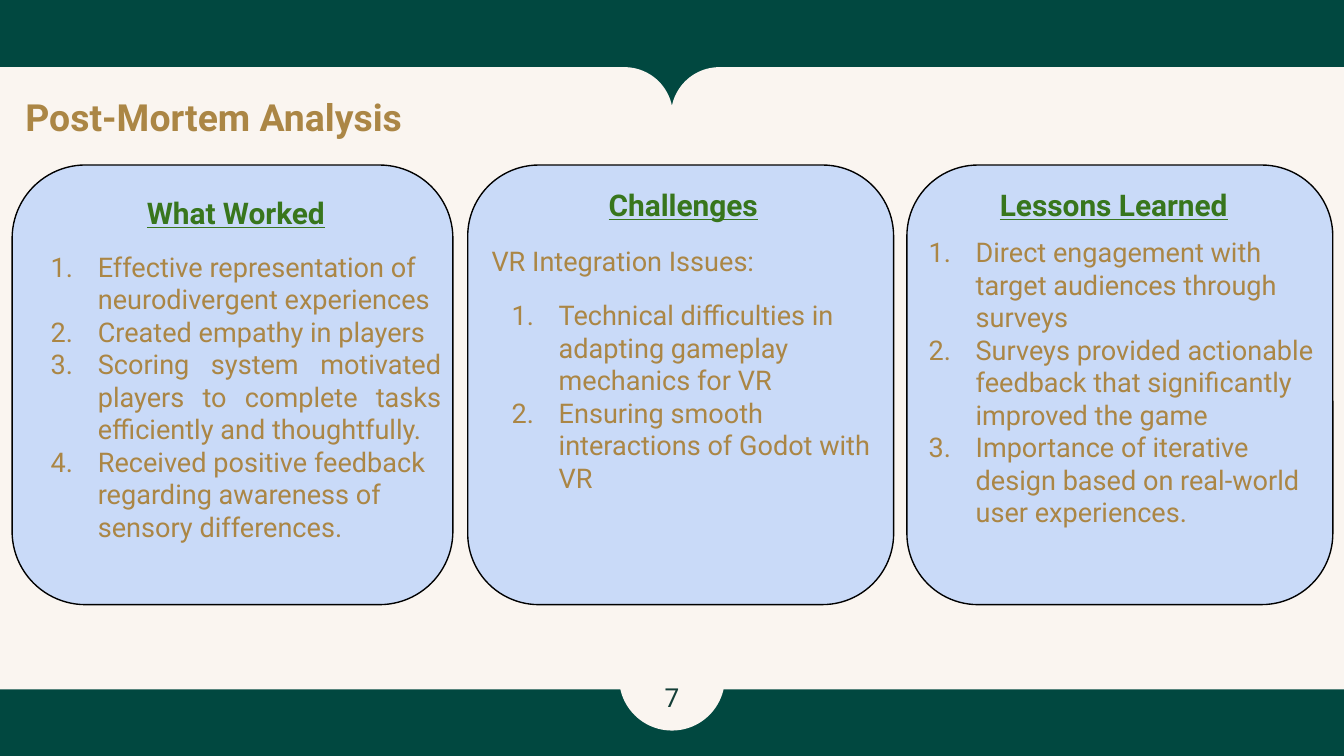
from lxml.etree import SubElement
from pptx import Presentation
from pptx.dml.color import RGBColor
from pptx.enum.shapes import MSO_SHAPE as SHAPE
from pptx.enum.text import MSO_ANCHOR as ANCHOR, PP_ALIGN as ALIGN
from pptx.oxml.ns import qn
from pptx.util import Cm, Pt

GREEN = RGBColor(0x01, 0x48, 0x40)
CREAM = RGBColor(0xFA, 0xF5, 0xF0)
BLUE = RGBColor(0xC9, 0xDA, 0xF8)
BLACK = RGBColor(0, 0, 0)
GOLD = RGBColor(0xAB, 0x86, 0x45)
HEADING = RGBColor(0x38, 0x76, 0x1D)
NUMBER = RGBColor(0x13, 0x3E, 0x37)
FONT = "Roboto"

TITLE = "Post-Mortem Analysis"
PAGE = "7"
# card: (left, width); text: (left, top, width, height); gap: points above the body
COLUMNS = [
    dict(heading="What Worked", intro=None, justified=2, gap=10.5, anchor=ANCHOR.MIDDLE,
         card=(0.23, 8.33), text=(0.33, 3.07, 8.26, 7.8),
         items=["Effective representation of neurodivergent experiences",
                "Created empathy in players",
                "Scoring system motivated players to complete tasks "
                "efficiently and thoughtfully.",
                "Received positive feedback regarding awareness of "
                "sensory differences."]),
    dict(heading="Challenges", intro="VR Integration Issues:", justified=None, gap=11.7,
         anchor=ANCHOR.TOP, card=(8.84, 8.05), text=(9.04, 3.28, 7.75, 6.4),
         items=["Technical difficulties in adapting gameplay mechanics for VR",
                "Ensuring smooth interactions of Godot with VR"]),
    dict(heading="Lessons Learned", intro=None, justified=None, gap=7, anchor=ANCHOR.TOP,
         card=(17.14, 8.05), text=(16.92, 3.28, 8.26, 7.04),
         items=["Direct engagement with target audiences through surveys",
                "Surveys provided actionable feedback that significantly "
                "improved the game",
                "Importance of iterative design based on real-world "
                "user experiences."]),
]
CARD_TOP, CARD_HEIGHT = 3.12, 8.31
PANEL_TOP, PANEL_WIDTH, PANEL_HEIGHT = 1.27, 12.72, 11.76


def add_shape(slide, kind, box, fill, line=None, adj=None):
    sp = slide.shapes.add_shape(kind, *map(Cm, box))
    sp.shadow.inherit = False
    sp.fill.solid()
    sp.fill.fore_color.rgb = fill
    if line is None:
        sp.line.fill.background()
    else:
        sp.line.color.rgb = line
        sp.line.width = Pt(0.75)
    if adj is not None:
        sp.adjustments[0] = adj
    return sp


def add_text_frame(slide, box, anchor):
    tf = slide.shapes.add_textbox(*map(Cm, box)).text_frame
    tf.word_wrap = True
    tf.vertical_anchor = anchor
    tf.margin_left = tf.margin_right = tf.margin_top = tf.margin_bottom = Cm(0.25)
    return tf


def write(p, text, size, color, align=ALIGN.LEFT, bold=False, underline=False):
    p.text = text
    p.alignment = align
    font = p.runs[0].font
    font.name, font.size, font.bold, font.underline = FONT, Pt(size), bold, underline
    font.color.rgb = color


def number(p):
    """Make the paragraph an item of a numbered list."""
    pPr = p._p.get_or_add_pPr()
    pPr.set("marL", str(Cm(1.27)))
    pPr.set("indent", str(-Cm(0.89)))
    color = SubElement(pPr, qn("a:buClr"))
    SubElement(color, qn("a:srgbClr"), val=str(GOLD))
    SubElement(pPr, qn("a:buFont"), typeface=FONT)
    SubElement(pPr, qn("a:buAutoNum"), type="arabicPeriod")


def add_column_text(slide, col):
    tf = add_text_frame(slide, col["text"], col["anchor"])
    write(tf.paragraphs[0], col["heading"], 16, HEADING, ALIGN.CENTER, True, True)
    if col["intro"]:
        p = tf.add_paragraph()
        p.space_before = Pt(col["gap"])
        write(p, col["intro"], 14.5, GOLD)
    for i, item in enumerate(col["items"]):
        p = tf.add_paragraph()
        p.space_before = Pt(0 if i else col["gap"])
        number(p)
        write(p, item, 14.5, GOLD,
              ALIGN.JUSTIFY if i == col["justified"] else ALIGN.LEFT)


prs = Presentation()
prs.slide_width, prs.slide_height = Cm(25.4), Cm(14.29)
slide = prs.slides.add_slide(prs.slide_layouts[6])
slide.background.fill.solid()
slide.background.fill.fore_color.rgb = GREEN

for left, flipped in ((25.4 - PANEL_WIDTH, True), (0, False)):
    panel = add_shape(slide, SHAPE.ROUND_1_RECTANGLE,
                      (left, PANEL_TOP, PANEL_WIDTH, PANEL_HEIGHT), CREAM, adj=0.078)
    if flipped:
        panel._element.spPr.find(qn("a:xfrm")).set("flipH", "1")
add_shape(slide, SHAPE.OVAL, (11.7, 11.81, 2, 2), CREAM)
tf = add_text_frame(slide, (11.7, 12.6, 2, 1.17), ANCHOR.MIDDLE)
write(tf.paragraphs[0], PAGE, 14, NUMBER, ALIGN.CENTER)

for col in COLUMNS:
    left, width = col["card"]
    add_shape(slide, SHAPE.ROUNDED_RECTANGLE, (left, CARD_TOP, width, CARD_HEIGHT),
              BLUE, BLACK, 0.167)
    add_column_text(slide, col)

tf = add_text_frame(slide, (0.23, 1.12, 9.78, 2.16), ANCHOR.MIDDLE)
write(tf.paragraphs[0], TITLE, 20, GOLD, bold=True)

prs.save("out.pptx")
